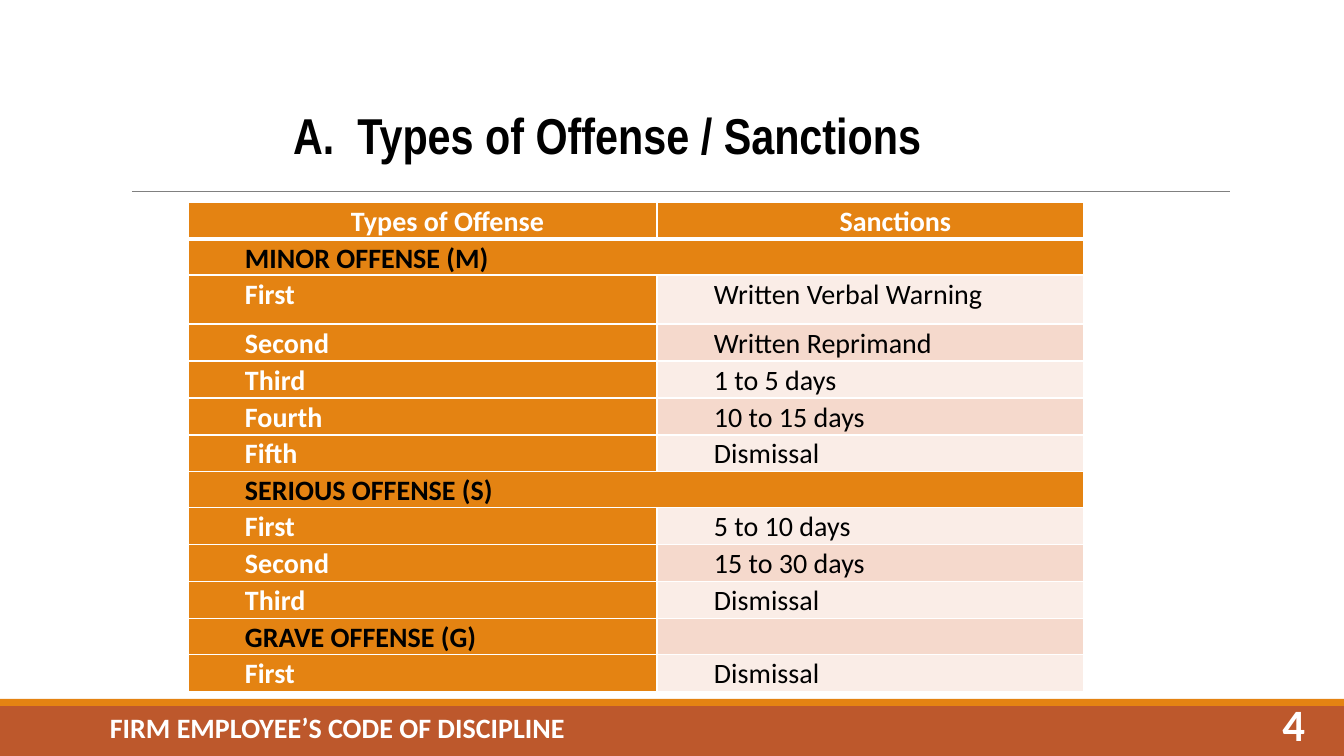
"""Build the slide on types of offense and their sanctions."""
from dataclasses import dataclass
from typing import NamedTuple

from lxml.etree import SubElement
from pptx import Presentation
from pptx.dml.color import RGBColor
from pptx.enum.shapes import MSO_CONNECTOR, MSO_SHAPE
from pptx.enum.text import MSO_ANCHOR, MSO_AUTO_SIZE, PP_ALIGN
from pptx.oxml import parse_xml
from pptx.oxml.ns import nsdecls, qn
from pptx.util import Emu, Pt

EMU_PER_PIXEL = 914400 / 100.8


class Box(NamedTuple):
    left: int
    top: int
    width: int
    height: int


class TextStyle(NamedTuple):
    font: str
    size: int
    color: str
    bold: bool = True
    align: PP_ALIGN = PP_ALIGN.LEFT


@dataclass(frozen=True)
class Theme:
    accent: str = "E48312"
    footer: str = "BD582C"
    rule: str = "808080"
    border: str = "FFFFFF"
    bands: tuple = ("FAEDE7", "F5D9CC")
    title: TextStyle = TextStyle("Arial Narrow", 36, "000000")
    footer_text: TextStyle = TextStyle("Calibri", 20, "FFFFFF")
    page_number: TextStyle = TextStyle("Calibri", 32, "FFFFFF", align=PP_ALIGN.RIGHT)
    header: TextStyle = TextStyle("Calibri", 20, "FFFFFF", align=PP_ALIGN.CENTER)
    category: TextStyle = TextStyle("Calibri", 20, "000000")
    occurrence: TextStyle = TextStyle("Calibri", 20, "FFFFFF")
    sanction: TextStyle = TextStyle("Calibri", 20, "000000", bold=False)


@dataclass(frozen=True)
class OffenseRow:
    offense: str
    sanction: str = ""
    style: TextStyle = Theme.occurrence
    spans: bool = False
    height: int = 37


THEME = Theme()
CATEGORY_HEIGHT = 36
ROWS = [
    OffenseRow("Types of Offense", "Sanctions", THEME.header),
    OffenseRow("MINOR OFFENSE (M)", "", THEME.category, True, CATEGORY_HEIGHT),
    OffenseRow("First", "Written Verbal Warning", height=49),
    OffenseRow("Second", "Written Reprimand"),
    OffenseRow("Third", "1 to 5 days"),
    OffenseRow("Fourth", "10 to 15 days"),
    OffenseRow("Fifth", "Dismissal"),
    OffenseRow("SERIOUS OFFENSE (S)", "", THEME.category, True, CATEGORY_HEIGHT),
    OffenseRow("First", "5 to 10 days"),
    OffenseRow("Second", "15 to 30 days"),
    OffenseRow("Third", "Dismissal"),
    OffenseRow("GRAVE OFFENSE (G)", "", THEME.category, False, CATEGORY_HEIGHT),
    OffenseRow("First", "Dismissal"),
]
COLUMN_WIDTHS = (469, 427)


def px(pixels: int) -> Emu:
    """Convert pixels to EMU."""
    return Emu(round(pixels * EMU_PER_PIXEL))


def write(frame, text: str, style: TextStyle) -> None:
    """Set and format the text of a frame."""
    frame.text = text
    paragraph = frame.paragraphs[0]
    paragraph.alignment = style.align
    for run in paragraph.runs:
        run.font.name = style.font
        run.font.size = Pt(style.size)
        run.font.bold = style.bold
        run.font.color.rgb = RGBColor.from_string(style.color)


def add_band(slide, box: Box, color: str) -> None:
    """Draw a plain filled rectangle."""
    band = slide.shapes.add_shape(MSO_SHAPE.RECTANGLE, *map(px, box))
    band.shadow.inherit = False
    band.fill.solid()
    band.fill.fore_color.rgb = RGBColor.from_string(color)
    band.line.fill.background()


def add_rule(slide, left: int, right: int, y: int) -> None:
    """Draw the thin line under the title."""
    rule = slide.shapes.add_connector(MSO_CONNECTOR.STRAIGHT, px(left), px(y), px(right), px(y))
    rule.line.color.rgb = RGBColor.from_string(THEME.rule)
    rule.line.width = Pt(0.5)
    SubElement(rule._element.spPr, qn("a:effectLst"))


def add_label(slide, box: Box, text: str, style: TextStyle) -> None:
    """Add a vertically centred text box."""
    frame = slide.shapes.add_textbox(*map(px, box)).text_frame
    frame.word_wrap = True
    frame.vertical_anchor = MSO_ANCHOR.MIDDLE
    write(frame, text, style)


def place_title(slide, box: Box, text: str) -> None:
    """Move, fill and format the title placeholder."""
    title = slide.shapes.title
    title.left, title.top, title.width, title.height = map(px, box)
    frame = title.text_frame
    frame.word_wrap = True
    frame.auto_size = MSO_AUTO_SIZE.NONE
    frame.vertical_anchor = MSO_ANCHOR.MIDDLE
    write(frame, text, THEME.title)


def set_borders(cell, bottom_points: int) -> None:
    """Give a cell white borders."""
    widths = {"lnL": 1, "lnR": 1, "lnT": 1, "lnB": bottom_points}
    for position, (side, points) in enumerate(widths.items()):
        border = parse_xml(
            f'<a:{side} {nsdecls("a")} w="{Pt(points)}"><a:solidFill>'
            f'<a:srgbClr val="{THEME.border}"/></a:solidFill></a:{side}>'
        )
        cell._tc.get_or_add_tcPr().insert(position, border)


def fill_cell(cell, text: str, style: TextStyle, color: str, bottom_points: int) -> None:
    """Fill, border and label one table cell."""
    cell.margin_left, cell.margin_right = px(57), px(7)
    cell.margin_top = cell.margin_bottom = 0
    cell.fill.solid()
    cell.fill.fore_color.rgb = RGBColor.from_string(color)
    set_borders(cell, bottom_points)
    write(cell.text_frame, text, style)
    cell.text_frame.paragraphs[0].line_spacing = 1.07


def add_sanctions_table(slide, left: int, top: int) -> None:
    """Build the table of offenses and sanctions."""
    box = Box(left, top, sum(COLUMN_WIDTHS), sum(row.height for row in ROWS))
    table = slide.shapes.add_table(len(ROWS), len(COLUMN_WIDTHS), *map(px, box)).table
    for column, width in zip(table.columns, COLUMN_WIDTHS):
        column.width = px(width)
    for index, row in enumerate(ROWS):
        is_header = index == 0
        table.rows[index].height = px(row.height)
        bottom_points = 3 if is_header else 1
        offense, sanction = table.cell(index, 0), table.cell(index, 1)
        sanction_style = THEME.header if is_header else THEME.sanction
        sanction_color = THEME.accent if is_header or row.spans else THEME.bands[index % 2]
        fill_cell(offense, row.offense, row.style, THEME.accent, bottom_points)
        fill_cell(sanction, row.sanction, sanction_style, sanction_color, bottom_points)
        if row.spans:
            offense.merge(sanction)


def main() -> None:
    """Assemble and save the slide."""
    deck = Presentation()
    deck.slide_width, deck.slide_height = px(1344), px(756)
    slide = deck.slides.add_slide(deck.slide_layouts[5])
    add_band(slide, Box(0, 706, 1344, 50), THEME.footer)
    add_band(slide, Box(0, 699, 1344, 7), THEME.accent)
    add_rule(slide, 132, 1230, 191)
    add_label(slide, Box(100, 707, 491, 40), "FIRM EMPLOYEE’S CODE OF DISCIPLINE", THEME.footer_text)
    add_label(slide, Box(1207, 704, 108, 40), "4", THEME.page_number)
    add_sanctions_table(slide, 188, 202)
    place_title(slide, Box(283, 98, 727, 72), "A.  Types of Offense / Sanctions")
    deck.save("out.pptx")


main()
